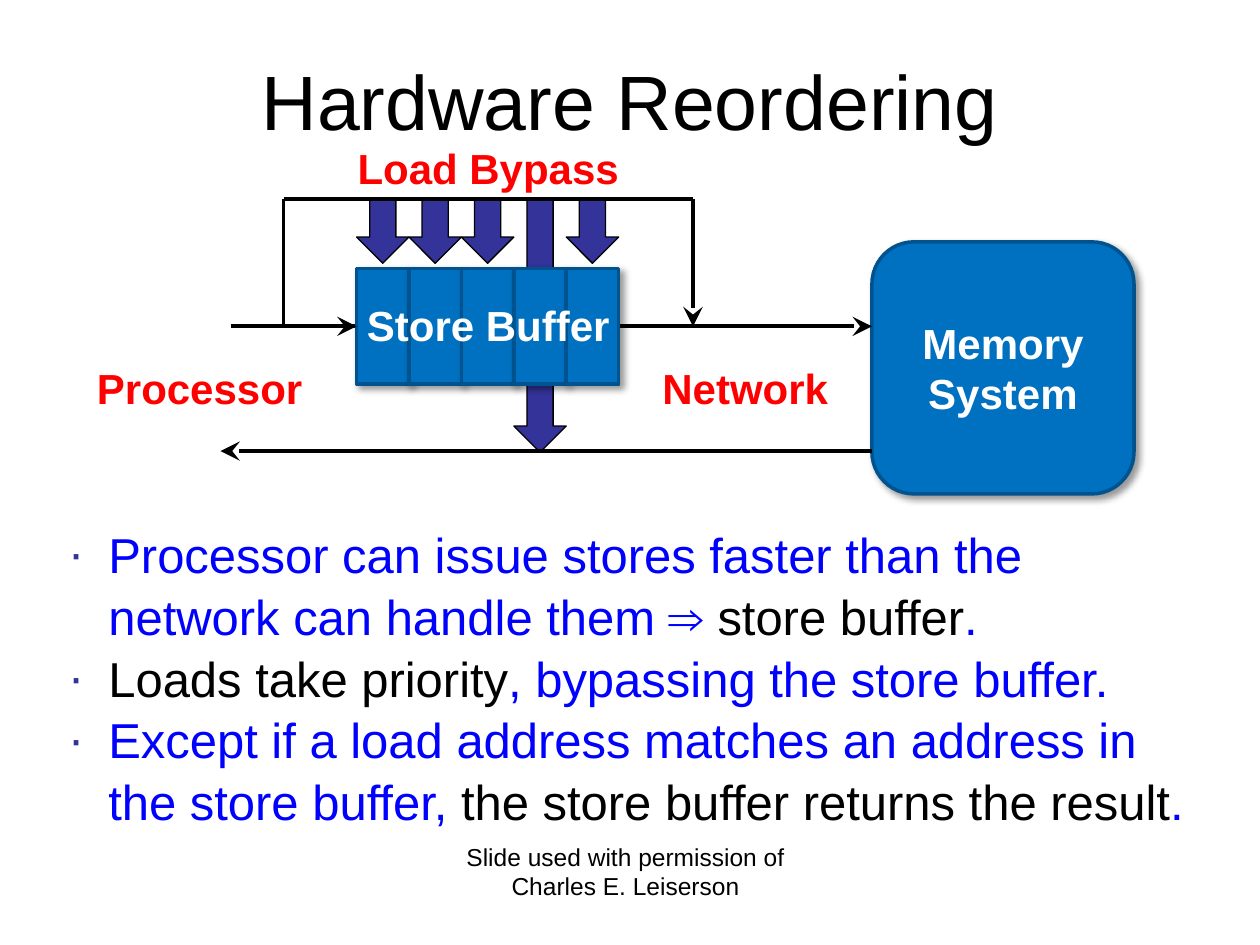
from lxml.etree import SubElement
from pptx import Presentation
from pptx.dml.color import RGBColor
from pptx.enum.shapes import MSO_CONNECTOR as CONNECTOR, MSO_SHAPE as SHAPE
from pptx.enum.text import MSO_ANCHOR as ANCHOR, MSO_AUTO_SIZE as AUTO_SIZE, PP_ALIGN as ALIGN
from pptx.oxml.ns import qn
from pptx.util import Inches, Pt

BLACK, WHITE, RED, BLUE = "000000", "FFFFFF", "FF0000", "0000FF"
BOX_FILL, BOX_EDGE, INDIGO = "0070C0", "00538E", "333399"
BUFFER_LEFT, BUFFER_TOP, BUFFER_HEIGHT, CELLS = 2.83, 2.13, 0.92, 5
CELL = 2.08 / CELLS
BYPASS_Y, STORE_Y, RETURN_Y = 1.58, 2.59, 3.58
BYPASS_LEFT, BYPASS_RIGHT = 2.25, 5.5
MEMORY_LEFT = 6.92
MATCHING_CELL = 3

BULLETS = [
    [("Processor can issue stores faster than the network can handle them ⇒ ", BLUE),
     ("store buffer", BLACK), (".", BLUE)],
    [("Loads take priority", BLACK), (", bypassing the store buffer.", BLUE)],
    [("Except if a load address matches an address in the store buffer, ", BLUE),
     ("the store buffer returns the result", BLACK), (".", BLUE)],
]
LABELS = [
    ("Load Bypass", 2.54, 1.08, 2.67),
    ("Processor", 0.42, 2.83, 2.33),
    ("Network", 5, 2.83, 1.83),
]


def rgb(value):
    """Return the colour for a hex string."""
    return RGBColor.from_string(value)


def place(item, left, top, width, height):
    """Move and size a placeholder."""
    item.left, item.top = Inches(left), Inches(top)
    item.width, item.height = Inches(width), Inches(height)


def style_font(font, size, color, bold=False):
    """Set typeface, size, colour and weight."""
    font.name, font.size, font.bold = "Arial", Pt(size), bold
    font.color.rgb = rgb(color)


def write(frame, text, size, color, bold=False):
    """Put one centred paragraph into a text frame."""
    frame.word_wrap = True
    frame.text = text
    paragraph = frame.paragraphs[0]
    paragraph.alignment = ALIGN.CENTER
    style_font(paragraph.runs[0].font, size, color, bold)


def add_label(slide, text, left, top, width, height=0.5, size=24, color=RED, bold=True):
    """Add a centred text box."""
    label = slide.shapes.add_textbox(Inches(left), Inches(top), Inches(width), Inches(height))
    write(label.text_frame, text, size, color, bold)


def add_block(slide, kind, left, top, width, height, fill, edge, weight):
    """Add a filled and outlined preset shape without shadow."""
    block = slide.shapes.add_shape(kind, Inches(left), Inches(top), Inches(width), Inches(height))
    block.shadow.inherit = False
    block.fill.solid()
    block.fill.fore_color.rgb = rgb(fill)
    block.line.color.rgb = rgb(edge)
    block.line.width = Pt(weight)
    return block


def add_hardware(slide, kind, left, top, width, height):
    """Add a blue hardware block with a soft shadow."""
    block = add_block(slide, kind, left, top, width, height, BOX_FILL, BOX_EDGE, 2)
    effects = block._element.spPr.find(qn("a:effectLst"))
    shadow = SubElement(effects, qn("a:outerShdw"), blurRad=str(Pt(4)), dist=str(Pt(3)),
                        dir="2700000", algn="tl", rotWithShape="0")
    color = SubElement(shadow, qn("a:srgbClr"), val=BLACK)
    SubElement(color, qn("a:alpha"), val="40000")
    return block


def add_wire(slide, x1, y1, x2, y2, arrow=False):
    """Add a black straight line, with an arrowhead at its end if asked."""
    wire = slide.shapes.add_connector(CONNECTOR.STRAIGHT, Inches(x1), Inches(y1),
                                      Inches(x2), Inches(y2))
    wire.line.color.rgb = rgb(BLACK)
    wire.line.width = Pt(2.25)
    if arrow:
        SubElement(wire.line._get_or_add_ln(), qn("a:tailEnd"), type="stealth", w="lg", len="lg")
    SubElement(wire._element.spPr, qn("a:effectLst"))
    return wire


def add_bullets(body):
    """Fill the body with bulleted paragraphs of coloured runs."""
    frame = body.text_frame
    frame.word_wrap, frame.auto_size = True, AUTO_SIZE.NONE
    for index, parts in enumerate(BULLETS):
        paragraph = frame.add_paragraph() if index else frame.paragraphs[0]
        paragraph.line_spacing = 1.05
        paragraph.space_before = paragraph.space_after = Pt(0)
        properties = paragraph._p.get_or_add_pPr()
        properties.set("marL", str(Inches(0.31)))
        properties.set("indent", str(-Inches(0.31)))
        SubElement(SubElement(properties, qn("a:buClr")), qn("a:srgbClr"), val=INDIGO)
        SubElement(properties, qn("a:buFont"), typeface="Arial")
        SubElement(properties, qn("a:buChar"), char="∙")
        for text, color in parts:
            run = paragraph.add_run()
            run.text = text
            style_font(run.font, 28, color)


def add_lookups(slide):
    """Add the load lookups, of which the matching one runs on to the return line."""
    for index in range(CELLS):
        height = RETURN_Y - BYPASS_Y if index == MATCHING_CELL else 0.5
        add_block(slide, SHAPE.DOWN_ARROW, BUFFER_LEFT + index * CELL, BYPASS_Y + 0.01,
                  CELL, height, INDIGO, BLACK, 0.75)


def add_store_buffer(slide):
    """Add the row of buffer cells, the wire into it and its caption."""
    cells = [add_hardware(slide, SHAPE.RECTANGLE, BUFFER_LEFT + index * CELL, BUFFER_TOP,
                          CELL, BUFFER_HEIGHT) for index in range(CELLS)]
    store = add_wire(slide, 1.83, STORE_Y, BUFFER_LEFT, STORE_Y, arrow=True)
    store.end_connect(cells[0], 1)
    add_label(slide, "Store Buffer", 2.75, 2.33, 2.25, 0.91, color=WHITE)


def main():
    """Build the slide and save it."""
    deck = Presentation()
    deck.slide_width, deck.slide_height = Inches(10), Inches(7.5)
    slide = deck.slides.add_slide(deck.slide_layouts[1])
    title, body = slide.placeholders
    place(title, 0.5, 0.17, 9, 1.25)
    write(title.text_frame, "Hardware Reordering", 44, BLACK)
    title.text_frame.vertical_anchor = ANCHOR.MIDDLE
    place(body, 0.45, 4.09, 9.1, 2.46)
    add_bullets(body)

    memory = add_hardware(slide, SHAPE.ROUNDED_RECTANGLE, MEMORY_LEFT, 1.92, 2.08, 2)
    write(memory.text_frame, "Memory System", 24, WHITE, bold=True)
    memory.text_frame.vertical_anchor = ANCHOR.MIDDLE
    add_wire(slide, 1.92, STORE_Y, MEMORY_LEFT, STORE_Y, arrow=True)
    add_wire(slide, BYPASS_RIGHT, BYPASS_Y, BYPASS_RIGHT, STORE_Y, arrow=True)
    add_lookups(slide)
    for label in LABELS:
        add_label(slide, *label)
    add_wire(slide, MEMORY_LEFT, RETURN_Y, 1.75, RETURN_Y, arrow=True)
    add_wire(slide, BYPASS_LEFT, BYPASS_Y, BYPASS_LEFT, STORE_Y)
    add_wire(slide, BYPASS_LEFT, BYPASS_Y, BYPASS_RIGHT, BYPASS_Y)
    add_store_buffer(slide)
    add_label(slide, "Slide used with permission of Charles E. Leiserson",
              3.38, 6.63, 3.17, size=14, color=BLACK, bold=False)
    deck.save("out.pptx")


if __name__ == "__main__":
    main()
